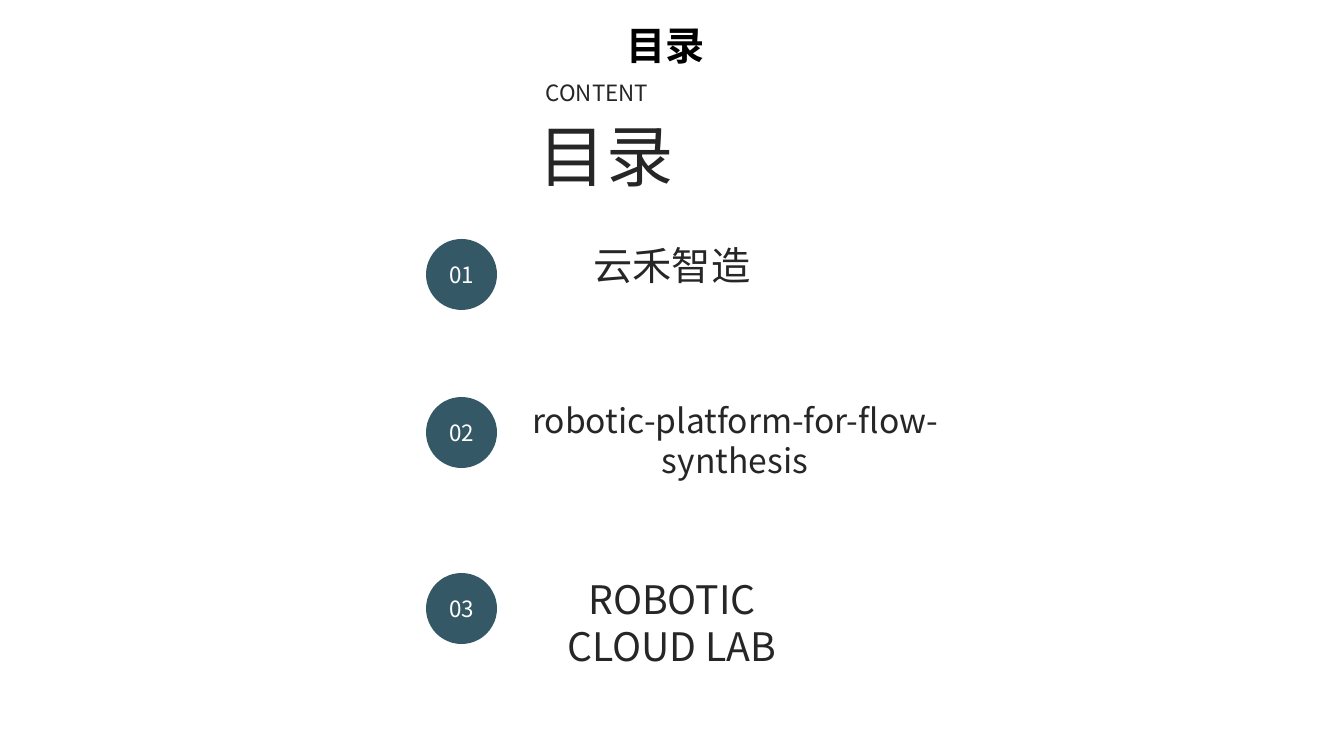
from dataclasses import dataclass

from lxml.etree import SubElement
from pptx import Presentation
from pptx.dml.color import RGBColor
from pptx.enum.shapes import MSO_SHAPE
from pptx.enum.text import MSO_ANCHOR, MSO_AUTO_SIZE, PP_ALIGN
from pptx.oxml.ns import qn
from pptx.util import Inches, Pt

PX = Inches(1) / 100.8


@dataclass(frozen=True)
class Theme:
    face: str = "Noto Sans CJK SC"
    ink: str = "262626"
    black: str = "000000"
    white: str = "FFFFFF"
    teal: str = "355867"
    small: int = 16
    body: int = 24
    large: int = 28
    huge: int = 48
    lead: float = 1.2


def emu(*sizes):
    return [round(size * PX) for size in sizes]


def assign(target, values):
    for name, value in values.items():
        setattr(target, name, value)


class Page:
    def __init__(self, slide, theme):
        self.slide = slide
        self.theme = theme

    def letter(self, shape, text, size, color, align, bold=False, **frame):
        """Put one styled paragraph into the shape."""
        body = shape.text_frame
        assign(body, {"word_wrap": True, **frame})
        line = body.paragraphs[0]
        assign(line, {"alignment": align,
                      "line_spacing": Pt(size * self.theme.lead)})
        run = line.add_run()
        run.text = text
        assign(run.font, {"size": Pt(size), "bold": bold,
                          "name": self.theme.face})
        run.font.color.rgb = RGBColor.from_string(color)
        east = SubElement(run.font._element, qn("a:ea"))
        east.set("typeface", self.theme.face)

    def label(self, box, text, size, align, color=None, bold=False,
              anchor=MSO_ANCHOR.TOP):
        shape = self.slide.shapes.add_textbox(*emu(*box))
        self.letter(shape, text, size, color or self.theme.ink, align, bold,
                    vertical_anchor=anchor,
                    auto_size=MSO_AUTO_SIZE.SHAPE_TO_FIT_TEXT)

    def badge(self, left, top, side, text):
        shape = self.slide.shapes.add_shape(
            MSO_SHAPE.OVAL, *emu(left, top, side, side))
        shape.shadow.inherit = False
        shape.fill.solid()
        shape.fill.fore_color.rgb = RGBColor.from_string(self.theme.teal)
        shape.line.fill.background()
        self.letter(shape, text, self.theme.small, self.theme.white,
                    PP_ALIGN.CENTER, vertical_anchor=MSO_ANCHOR.MIDDLE,
                    margin_left=0, margin_right=0)


def main():
    deck = Presentation()
    deck.slide_width, deck.slide_height = emu(1344, 756)
    theme = Theme()
    page = Page(deck.slides.add_slide(deck.slide_layouts[6]), theme)

    page.label((617, 16, 110, 57), "目录", theme.large, PP_ALIGN.LEFT,
               theme.black, bold=True)
    page.label((536, 74, 270, 37), "CONTENT", theme.small, PP_ALIGN.JUSTIFY)
    page.label((529, 109, 285, 92), "目录", theme.huge, PP_ALIGN.JUSTIFY)

    topics = (
        (236, 324, 57, theme.large, "云禾智造"),
        (394, 450, 92, theme.body, "robotic-platform-for-flow-synthesis"),
        (570, 324, 105, theme.large, "ROBOTIC CLOUD LAB"),
    )
    for count, (top, width, height, size, text) in enumerate(topics, 1):
        page.badge(426, top + 3, 71, f"{count:02}")
        page.label((510, top, width, height), text, size, PP_ALIGN.CENTER,
                   anchor=MSO_ANCHOR.MIDDLE)

    deck.save("out.pptx")


if __name__ == "__main__":
    main()
